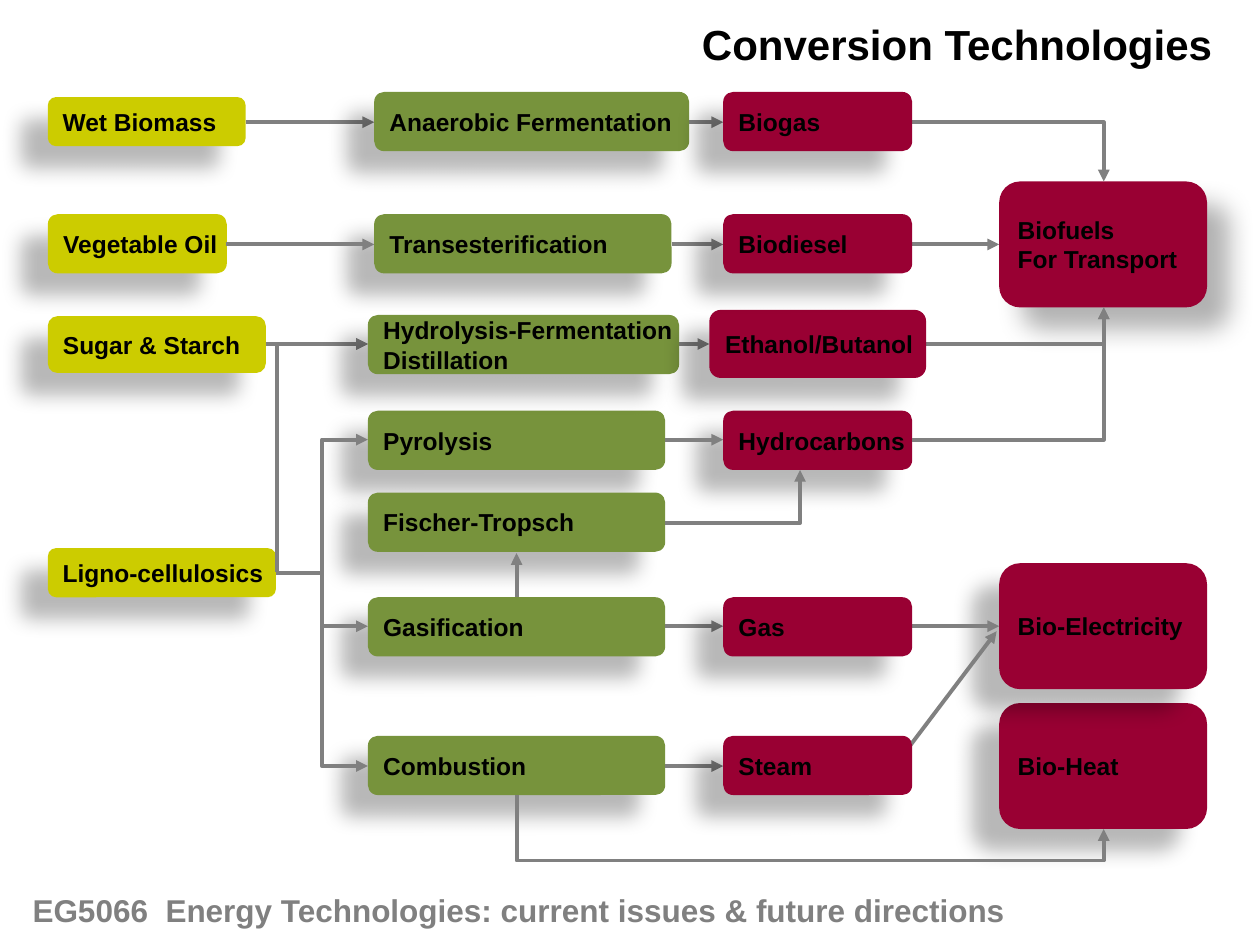
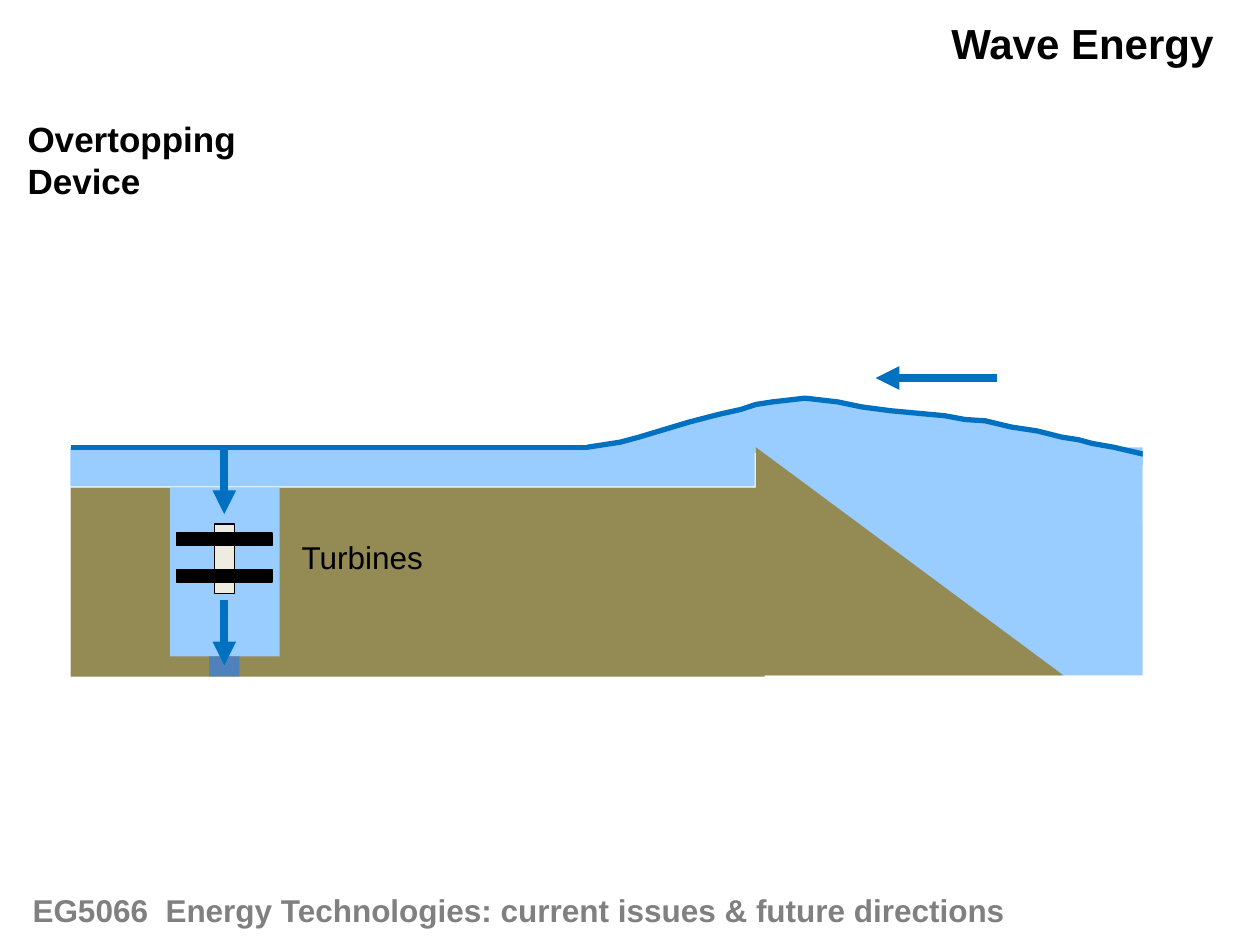
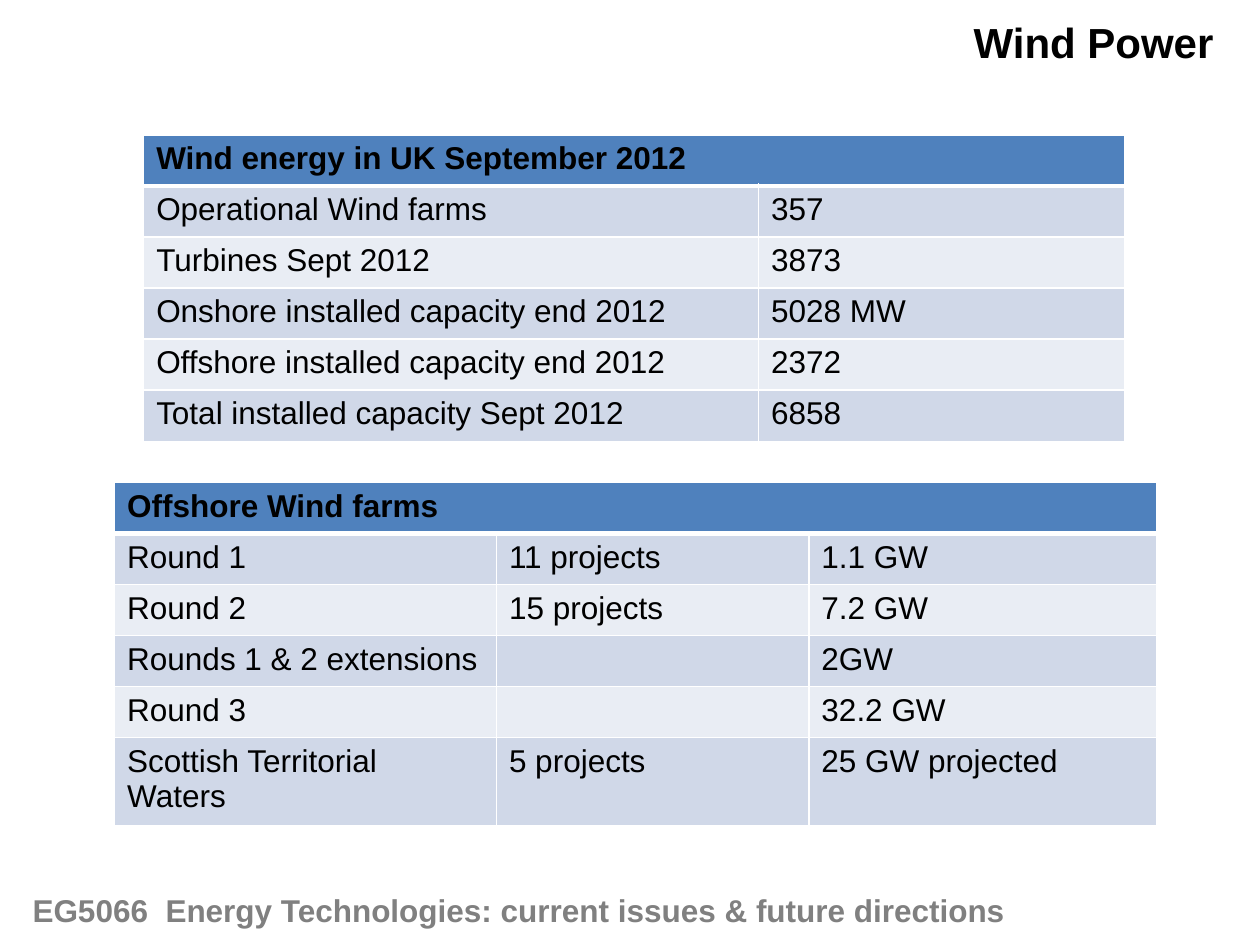
from lxml.etree import SubElement
from pptx import Presentation
from pptx.dml.color import RGBColor
from pptx.enum.shapes import MSO_CONNECTOR, MSO_SHAPE
from pptx.enum.text import MSO_ANCHOR, PP_ALIGN
from pptx.oxml.ns import qn
from pptx.util import Inches, Pt

BLACK, WHITE, GREY = "000000", "FFFFFF", "808080"
FEEDSTOCK, PROCESS, PRODUCT = "CCCC00", "77933C", "990033"
WATER, WAVE, GROUND, OUTLET, SHAFT = "99CCFF", "0070C0", "948A54", "4F81BD", "EEECE1"
HEADER, BANDS = "4F81BD", ("D0D8E8", "E9EDF4")
FOOTER = "EG5066  Energy Technologies: current issues & future directions"

LEFT_SHADOW = (28, 11.8, 19.7, 141)
RIGHT_SHADOW = (30, 15, 18, 45)

BACK_BOXES = [
    ("Bio-Heat", 7.93, 5.58, 1.65, 1, PRODUCT),
    ("Vegetable Oil", 0.38, 1.7, 1.42, 0.47, FEEDSTOCK),
    ("Sugar & Starch", 0.38, 2.51, 1.73, 0.45, FEEDSTOCK),
    ("Ligno-cellulosics", 0.38, 4.35, 1.81, 0.39, FEEDSTOCK),
    ("Wet Biomass", 0.38, 0.77, 1.57, 0.39, FEEDSTOCK),
    ("Transesterification", 2.97, 1.7, 2.36, 0.47, PROCESS),
    ("Pyrolysis", 2.92, 3.26, 2.36, 0.47, PROCESS),
    ("Biofuels\nFor Transport", 7.93, 1.44, 1.65, 1, PRODUCT),
    ("Combustion", 2.92, 5.84, 2.36, 0.47, PROCESS),
    ("Fischer-Tropsch", 2.92, 3.91, 2.36, 0.47, PROCESS),
    ("Gasification", 2.92, 4.74, 2.36, 0.47, PROCESS),
    ("Hydrocarbons", 5.74, 3.26, 1.5, 0.47, PRODUCT),
    ("Bio-Electricity", 7.93, 4.47, 1.65, 1, PRODUCT),
]
FRONT_BOXES = [
    ("Hydrolysis-Fermentation\nDistillation", 2.92, 2.5, 2.47, 0.47, PROCESS),
    ("Anaerobic Fermentation", 2.97, 0.73, 2.5, 0.47, PROCESS),
    ("Steam", 5.74, 5.84, 1.5, 0.47, PRODUCT),
    ("Ethanol/Butanol", 5.63, 2.46, 1.72, 0.54, PRODUCT),
    ("Biodiesel", 5.74, 1.7, 1.5, 0.47, PRODUCT),
    ("Gas", 5.74, 4.74, 1.5, 0.47, PRODUCT),
    ("Biogas", 5.74, 0.73, 1.5, 0.47, PRODUCT),
]
STRAIGHT_FLOWS = [
    (1.95, 0.97, 2.97, 0.97), (5.47, 0.97, 5.74, 0.97),
    (1.79, 1.94, 2.97, 1.94), (5.33, 1.94, 5.74, 1.94), (7.1, 1.94, 7.93, 1.94),
    (2.11, 2.73, 2.92, 2.73), (5.28, 2.73, 5.63, 2.73),
    (5.28, 3.49, 5.74, 3.49), (4.1, 4.74, 4.1, 4.39),
    (5.28, 4.97, 5.74, 4.97), (7.1, 4.97, 7.93, 4.97),
    (5.28, 6.08, 5.74, 6.08), (7.1, 6.08, 7.91, 5.01),
]
CORNER_FLOWS = [
    (7.24, 0.97, 8.76, 1.44),
    (7.21, 2.73, 8.76, 2.44),
    (7.24, 3.49, 8.76, 2.44),
    (5.28, 4.15, 6.35, 3.73),
]
LIGNO_EXIT = (2.19, 4.55)
LIGNO_TARGETS = [(2.92, 3.49), (2.92, 4.97), (2.92, 6.08)]
LIGNO_TO_HYDROLYSIS = (2.92, 2.73, 2.2, 4.54)
COMBUSTION_EXIT, HEAT_ENTRY, HEAT_DEPTH = (4.1, 6.31), (8.76, 6.58), 6.83

WAVE_CREST = [
    (4.66, 3.55), (4.92, 3.51), (5.07, 3.47), (5.47, 3.35), (5.7, 3.29), (5.88, 3.25),
    (6, 3.21), (6.13, 3.19), (6.39, 3.16), (6.65, 3.19), (6.84, 3.23), (7.07, 3.26),
    (7.5, 3.3), (7.66, 3.33), (7.82, 3.34), (8.03, 3.39), (8.23, 3.42), (8.43, 3.47),
    (8.56, 3.49), (8.67, 3.52), (8.84, 3.55), (9.53, 3.71),
]
BLADE_TOPS = (4.52, 4.23)
FLOW_X = 1.78

WIND_TABLES = [
    (1.14, 1.07, (4.88, 2.91), 0.41, "Wind energy in UK September 2012", [
        ("Operational Wind farms", "357"),
        ("Turbines Sept 2012", "3873"),
        ("Onshore installed capacity end 2012", "5028 MW"),
        ("Offshore installed capacity end 2012", "2372"),
        ("Total installed capacity Sept 2012", "6858"),
    ]),
    (0.91, 3.83, (3.03, 2.48, 2.76), 0.64, "Offshore Wind farms", [
        ("Round 1", "11 projects", "1.1 GW"),
        ("Round 2", "15 projects", "7.2 GW"),
        ("Rounds 1 & 2 extensions", "", "2GW"),
        ("Round 3", "", "32.2 GW"),
        ("Scottish Territorial Waters", "5 projects", "25 GW projected"),
    ]),
]
ROW_HEIGHT = 2.43 / 6


def colour(value):
    return RGBColor.from_string(value)


def write(frame, text, size, ink=BLACK, bold=True, align=PP_ALIGN.LEFT, wrap=False):
    frame.word_wrap = wrap
    frame.text = text
    for paragraph in frame.paragraphs:
        paragraph.alignment = align
        paragraph.font.name = "Arial"
        paragraph.font.size = Pt(size)
        paragraph.font.bold = bold
        paragraph.font.color.rgb = colour(ink)


def add_text(page, text, left, top, width, height, size, **style):
    box = page.shapes.add_textbox(*map(Inches, (left, top, width, height)))
    write(box.text_frame, text, size, **style)


def paint(shape, fill, outline=None, weight=0.75):
    shape.shadow.inherit = False
    shape.fill.solid()
    shape.fill.fore_color.rgb = colour(fill)
    if outline:
        shape.line.color.rgb = colour(outline)
        shape.line.width = Pt(weight)
    else:
        shape.line.fill.background()


def add_block(page, left, top, width, height, fill, outline=None, kind=MSO_SHAPE.RECTANGLE):
    block = page.shapes.add_shape(kind, *map(Inches, (left, top, width, height)))
    paint(block, fill, outline)
    return block


def cast_shadow(shape, opacity, blur, distance, angle):
    effects = shape._element.spPr.find(qn("a:effectLst"))
    shadow = SubElement(effects, qn("a:outerShdw"), blurRad=str(Pt(blur)), dist=str(Pt(distance)),
                        dir=str(angle * 60000), algn="ctr", rotWithShape="0")
    tint = SubElement(shadow, qn("a:srgbClr"), val=BLACK)
    SubElement(tint, qn("a:alpha"), val=str(opacity * 1000))


def add_flow_box(page, text, left, top, width, height, fill):
    box = add_block(page, left, top, width, height, fill, kind=MSO_SHAPE.ROUNDED_RECTANGLE)
    cast_shadow(box, *(RIGHT_SHADOW if text.startswith("Biofuels") else LEFT_SHADOW))
    box.text_frame.vertical_anchor = MSO_ANCHOR.MIDDLE
    write(box.text_frame, text, 14)


def add_line(page, ends, ink=GREY, weight=2.25, arrow="tailEnd", preset=None, bend=None):
    kind = MSO_CONNECTOR.ELBOW if preset else MSO_CONNECTOR.STRAIGHT
    line = page.shapes.add_connector(kind, *map(Inches, ends))
    line.line.color.rgb = colour(ink)
    line.line.width = Pt(weight)
    properties = line._element.spPr
    if arrow:
        SubElement(properties.find(qn("a:ln")), qn("a:" + arrow), type="triangle")
    SubElement(properties, qn("a:effectLst"))
    if preset:
        geometry = properties.find(qn("a:prstGeom"))
        geometry.set("prst", preset)
        if bend is not None:
            guides = geometry.find(qn("a:avLst"))
            SubElement(guides, qn("a:gd"), name="adj1", fmla=f"val {round(bend * 100000)}")
    return line


def add_under_route(page, start, end, depth):
    (x1, y1), (x2, y2) = start, end
    middle_x, middle_y = (x1 + x2) / 2, (y1 + y2) / 2
    half_width, half_height = (y2 - y1) / 2, (x2 - x1) / 2
    ends = (middle_x + half_width, middle_y - half_height,
            middle_x - half_width, middle_y + half_height)
    route = add_line(page, ends, preset="bentConnector3", bend=(depth - y1) / (y2 - y1))
    route._element.spPr.find(qn("a:xfrm")).set("rot", str(270 * 60000))


def add_page(deck, title, left, top, width):
    page = deck.slides.add_slide(deck.slide_layouts[6])
    add_text(page, title, left, top, width, 0.5, 24, align=PP_ALIGN.RIGHT)
    add_text(page, FOOTER, 0.16, 7.02, 8.59, 0.4, 18, ink=GREY, wrap=True)
    return page


def add_border(cell, side, weight):
    border = SubElement(cell._tc.get_or_add_tcPr(), qn("a:" + side), w=str(Pt(weight)))
    fill = SubElement(border, qn("a:solidFill"))
    SubElement(fill, qn("a:srgbClr"), val=WHITE)


def add_wind_table(page, left, top, widths, last_height, heading, rows):
    heights = [ROW_HEIGHT] * len(rows) + [last_height]
    frame = page.shapes.add_table(len(heights), len(widths), *map(
        Inches, (left, top, sum(widths), sum(heights))))
    table = frame.table
    for column, width in zip(table.columns, widths):
        column.width = Inches(width)
    for row, height in zip(table.rows, heights):
        row.height = Inches(height)
    grid = [(heading,) + ("",) * (len(widths) - 1)] + rows
    for r, texts in enumerate(grid):
        for c, text in enumerate(texts):
            cell = table.cell(r, c)
            for side in ("lnL", "lnR", "lnT", "lnB"):
                heavy = (r, side) in ((0, "lnB"), (1, "lnT"))
                add_border(cell, side, 3 if heavy else 1)
            cell.fill.solid()
            cell.fill.fore_color.rgb = colour(BANDS[(r - 1) % 2] if r else HEADER)
            write(cell.text_frame, text, 18, bold=r == 0, wrap=True)
    table.cell(0, 0).merge(table.cell(0, len(widths) - 1))


def build_conversion(deck):
    page = add_page(deck, "Conversion Technologies", 5.45, 0.1, 4.27)
    for box in BACK_BOXES:
        add_flow_box(page, *box)
    for ends in STRAIGHT_FLOWS:
        add_line(page, ends)
    for ends in CORNER_FLOWS:
        add_line(page, ends, preset="bentConnector2")
    for target in LIGNO_TARGETS:
        add_line(page, LIGNO_EXIT + target, preset="bentConnector3", bend=0.5)
    add_line(page, LIGNO_TO_HYDROLYSIS, arrow="headEnd", preset="bentConnector2")
    add_under_route(page, COMBUSTION_EXIT, HEAT_ENTRY, HEAT_DEPTH)
    for box in FRONT_BOXES:
        add_flow_box(page, *box)


def build_wave(deck):
    page = add_page(deck, "Wave Energy", 7.43, 0.09, 2.3)
    add_text(page, "Overtopping Device", 0.12, 0.88, 2.75, 0.43, 20, wrap=True)
    add_block(page, 0.56, 3.55, 5.43, 0.31, WATER)
    add_block(page, 6, 3.55, 3.07, 1.81, WATER)
    points = [(Inches(x), Inches(y)) for x, y in WAVE_CREST]
    builder = page.shapes.build_freeform(*points[0])
    builder.add_line_segments(points[1:], close=False)
    paint(builder.convert_to_shape(), WATER, WAVE, 3)
    add_line(page, (4.67, 3.55, 0.56, 3.55), WAVE, 3, arrow=None)
    add_block(page, 0.56, 3.87, 5.51, 1.5, GROUND)
    add_block(page, 6, 3.55, 2.44, 1.81, GROUND, kind=MSO_SHAPE.RIGHT_TRIANGLE)
    add_block(page, 1.35, 3.87, 0.87, 1.34, WATER)
    add_block(page, 1.66, 5.21, 0.24, 0.16, OUTLET)
    add_text(page, "Turbines", 2.29, 4.22, 1.17, 0.4, 18, bold=False, align=PP_ALIGN.CENTER)
    add_block(page, 1.7, 4.16, 0.16, 0.55, SHAFT, BLACK)
    for top in BLADE_TOPS:
        add_block(page, 1.4, top, 0.76, 0.1, BLACK, BLACK)
    for ends in ((7.91, 3, 6.95, 3), (FLOW_X, 3.57, FLOW_X, 4.08), (FLOW_X, 4.76, FLOW_X, 5.28)):
        add_line(page, ends, WAVE, 4.5)
    add_block(page, 9.07, 3.16, 0.59, 1, WHITE)


def build_wind(deck):
    page = add_page(deck, "Wind Power", 7.62, 0.08, 2.11)
    for table in WIND_TABLES:
        add_wind_table(page, *table)


def main():
    deck = Presentation()
    deck.slide_width, deck.slide_height = Inches(10), Inches(7.5)
    build_conversion(deck)
    build_wave(deck)
    build_wind(deck)
    deck.save("out.pptx")


if __name__ == "__main__":
    main()
